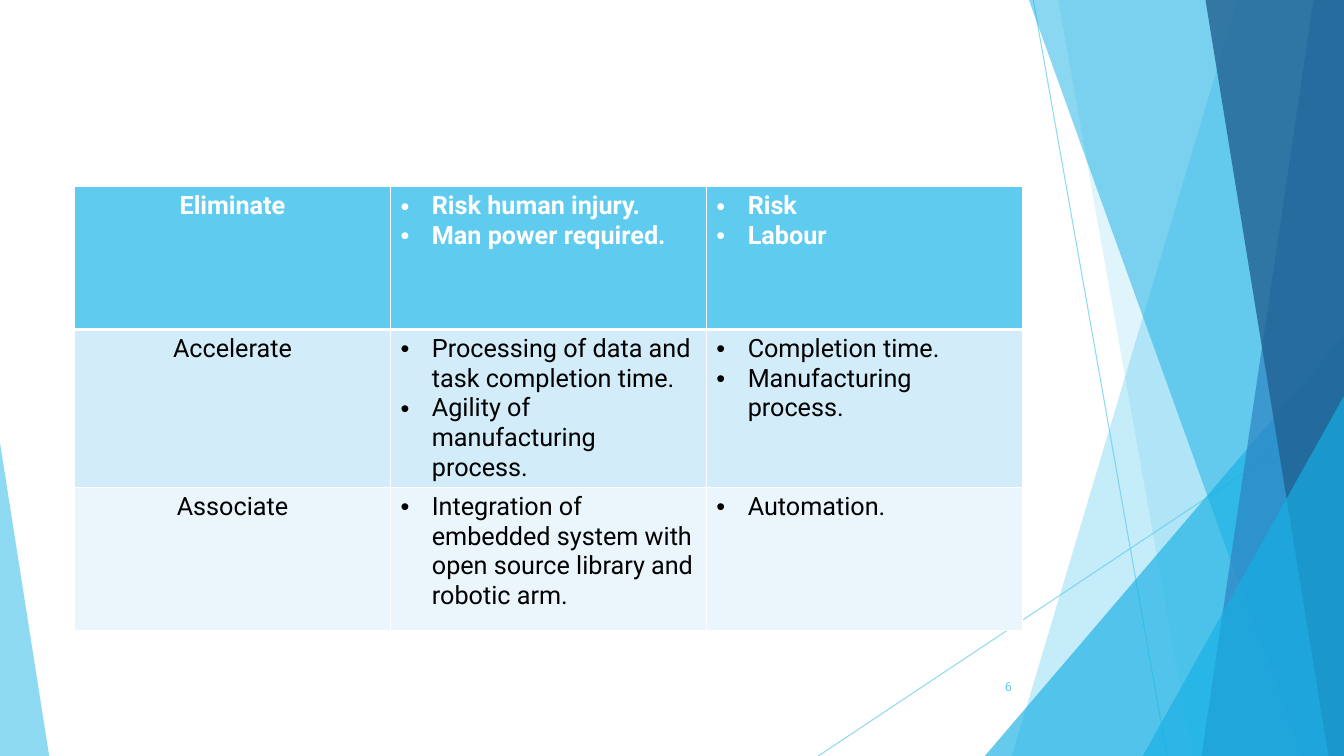
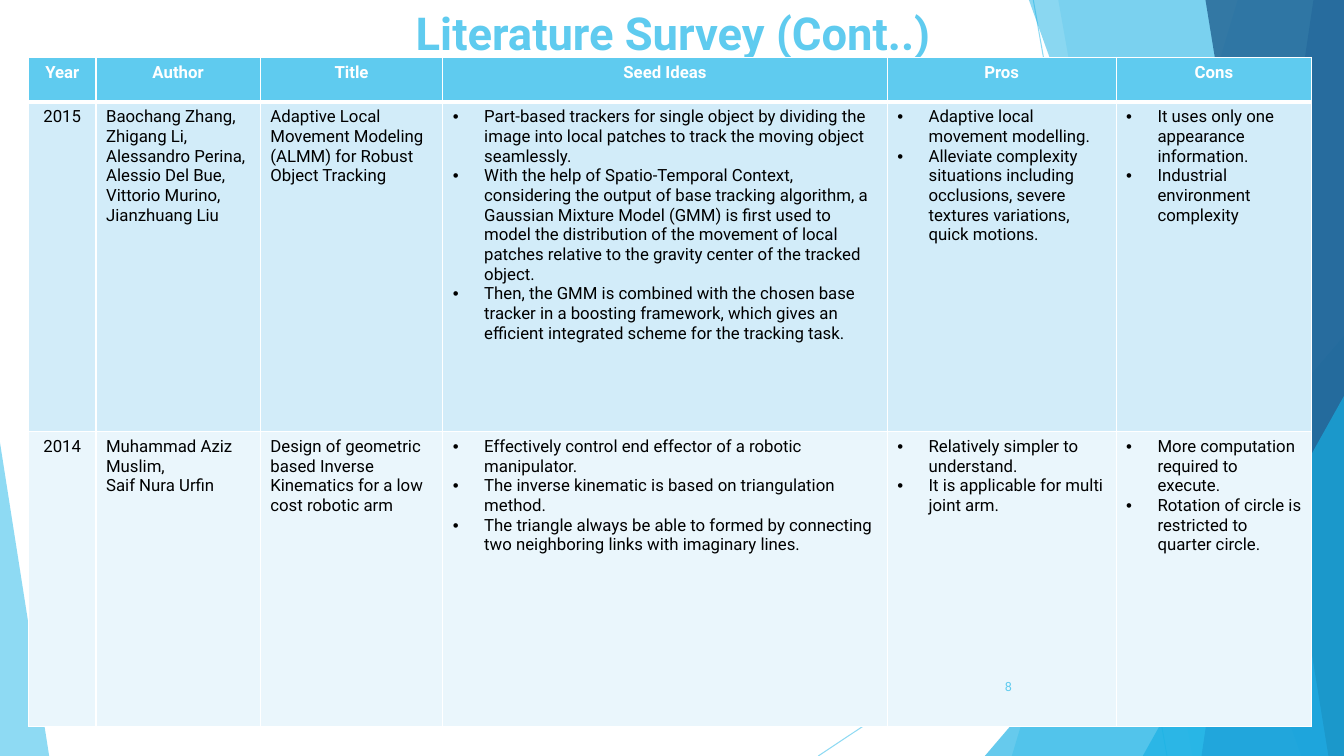
from dataclasses import dataclass
from enum import Enum

from lxml.etree import SubElement
from pptx import Presentation
from pptx.dml.color import RGBColor
from pptx.enum.shapes import MSO_CONNECTOR, MSO_SHAPE
from pptx.enum.text import MSO_ANCHOR, PP_ALIGN
from pptx.oxml.ns import qn
from pptx.util import Cm, Pt

SKY = RGBColor(0x5F, 0xCB, 0xEF)
CYAN = RGBColor(0x17, 0xB0, 0xE4)
BLUE = RGBColor(0x2E, 0x83, 0xC3)
NAVY = RGBColor(0x22, 0x62, 0x92)
BAND_DARK = RGBColor(0xD2, 0xEC, 0xF9)
BAND_LIGHT = RGBColor(0xEA, 0xF6, 0xFC)
WHITE = RGBColor(0xFF, 0xFF, 0xFF)
BLACK = RGBColor(0x00, 0x00, 0x00)

FONT = "Roboto"
PAGE_WIDTH = 33.87
PAGE_HEIGHT = 19.05
BULLET_INDENT = Cm(0.79)
THIN_BORDER = Pt(1)
HEADER_BORDER = Pt(3)


class Style(Enum):
    CENTRED = "centred"
    PLAIN = "plain"
    BULLETED = "bulleted"


@dataclass(frozen=True)
class Ray:
    start: tuple[float, float]
    end: tuple[float, float]


@dataclass(frozen=True)
class Ribbon:
    top_x: float
    bottom_x: float
    color: RGBColor
    opacity: int


@dataclass(frozen=True)
class Wedge:
    left: float
    top: float
    width: float
    apex: float
    color: RGBColor
    opacity: int


@dataclass(frozen=True)
class Grid:
    left: float
    top: float
    column_widths: tuple[float, ...]
    row_heights: tuple[float, ...]
    font_size: int
    header_styles: tuple[Style, ...]
    body_styles: tuple[Style, ...]
    rows: tuple[tuple[tuple[str, ...], ...], ...]


RAYS = (
    Ray((26.04, 0), (29.41, PAGE_HEIGHT)),
    Ray((PAGE_WIDTH, 10.24), (20.62, PAGE_HEIGHT)),
)
FACETS = (
    Ribbon(31.19, 25.5, SKY, 36),
    Ribbon(26.67, 30.05, SKY, 20),
    Wedge(24.82, 8.46, 9.05, 1, CYAN, 66),
    Ribbon(25.93, 32.79, CYAN, 50),
    Ribbon(33.1, 30.28, BLUE, 70),
    Ribbon(30.38, 33.48, NAVY, 80),
    Wedge(28.8, 9.98, 5.07, 1, CYAN, 66),
    Wedge(0, 11.15, 1.24, 0, SKY, 70),
)

BENEFITS = Grid(
    left=1.88,
    top=4.7,
    column_widths=(7.96,) * 3,
    row_heights=(3.6,) * 3,
    font_size=18,
    header_styles=(Style.CENTRED, Style.BULLETED, Style.BULLETED),
    body_styles=(Style.CENTRED, Style.BULLETED, Style.BULLETED),
    rows=(
        (("Eliminate",), ("Risk human injury.", "Man power required."), ("Risk", "Labour")),
        (
            ("Accelerate",),
            ("Processing of data and task completion time.", "Agility of manufacturing process."),
            ("Completion time.", "Manufacturing process."),
        ),
        (
            ("Associate",),
            ("Integration of embedded system with open source library and robotic arm.",),
            ("Automation.",),
        ),
    ),
)
SURVEY = Grid(
    left=0.72,
    top=1.45,
    column_widths=(1.7, 4.14, 4.6, 11.2, 5.77, 4.93),
    row_heights=(1.12, 8.31, 7.42),
    font_size=12,
    header_styles=(Style.CENTRED,) * 6,
    body_styles=(Style.CENTRED, Style.PLAIN, Style.PLAIN) + (Style.BULLETED,) * 3,
    rows=(
        (("Year",), ("Author",), ("Title",), ("Seed Ideas",), ("Pros",), ("Cons",)),
        (
            ("2015",),
            ("Baochang Zhang, Zhigang Li, Alessandro Perina, Alessio Del Bue, "
             "Vittorio Murino, Jianzhuang Liu",),
            ("Adaptive Local Movement Modeling (ALMM) for Robust Object Tracking",),
            (
                "Part-based trackers for single object by dividing the image into local "
                "patches to track the moving object seamlessly.",
                "With the help of Spatio-Temporal Context, considering the output of base "
                "tracking algorithm, a Gaussian Mixture Model (GMM) is first used to model "
                "the distribution of the movement of local patches relative to the gravity "
                "center of the tracked object.",
                "Then, the GMM is combined with the chosen base tracker in a boosting "
                "framework, which gives an efficient integrated scheme for the tracking task.",
            ),
            (
                "Adaptive local movement modelling.",
                "Alleviate complexity situations including occlusions, severe textures "
                "variations, quick motions.",
            ),
            ("It uses only one appearance information.", "Industrial environment complexity"),
        ),
        (
            ("2014",),
            ("Muhammad Aziz Muslim,", "Saif Nura Urfin"),
            ("Design of geometric based Inverse Kinematics for a low cost robotic arm",),
            (
                "Effectively control end effector of a robotic manipulator.",
                "The inverse kinematic is based on triangulation method.",
                "The triangle always be able to formed by connecting two neighboring links "
                "with imaginary lines.",
            ),
            ("Relatively simpler to understand.", "It is applicable for multi joint arm."),
            (
                "More computation required to execute.",
                "Rotation of circle is restricted to quarter circle.",
            ),
        ),
    ),
)


def set_opacity(element, percent: int) -> None:
    for color in element.iter(qn("a:srgbClr")):
        SubElement(color, qn("a:alpha"), val=str(percent * 1000))


def format_text(frame, size: float, color: RGBColor, bold: bool, alignment) -> None:
    for para in frame.paragraphs:
        para.alignment = alignment
        for span in para.runs:
            span.font.name = FONT
            span.font.size = Pt(size)
            span.font.bold = bold
            span.font.color.rgb = color


def draw_ray(page, ray: Ray) -> None:
    points = [Cm(value) for value in ray.start + ray.end]
    line = page.shapes.add_connector(MSO_CONNECTOR.STRAIGHT, *points)
    line.line.color.rgb = SKY
    line.line.width = Pt(0.75)
    set_opacity(line.element, 70)
    SubElement(line.element.spPr, qn("a:effectLst"))


def draw_facet(page, facet: Ribbon | Wedge) -> None:
    if isinstance(facet, Ribbon):
        outline = page.shapes.build_freeform(Cm(facet.top_x), 0)
        corners = ((PAGE_WIDTH, 0), (PAGE_WIDTH, PAGE_HEIGHT), (facet.bottom_x, PAGE_HEIGHT))
        outline.add_line_segments([(Cm(x), Cm(y)) for x, y in corners], close=True)
        shape = outline.convert_to_shape()
    else:
        shape = page.shapes.add_shape(
            MSO_SHAPE.ISOSCELES_TRIANGLE, Cm(facet.left), Cm(facet.top),
            Cm(facet.width), Cm(PAGE_HEIGHT - facet.top))
        shape.adjustments[0] = facet.apex
    shape.shadow.inherit = False
    shape.fill.solid()
    shape.fill.fore_color.rgb = facet.color
    shape.line.fill.background()
    set_opacity(shape.element, facet.opacity)


def draw_text(page, text: str, left: float, top: float, width: float, height: float,
              size: float, bold: bool, alignment, anchor) -> None:
    box = page.shapes.add_textbox(Cm(left), Cm(top), Cm(width), Cm(height))
    frame = box.text_frame
    frame.word_wrap = True
    frame.vertical_anchor = anchor
    frame.text = text
    format_text(frame, size, SKY, bold, alignment)


def draw_title(page, title: str) -> None:
    draw_text(page, title, 2.36, 0, 29.21, 1.45, 32.4, True, PP_ALIGN.CENTER, MSO_ANCHOR.TOP)


def draw_page_number(page, number: int) -> None:
    draw_text(page, str(number), 23.85, 16.79, 1.9, 1.02, 9, False,
              PP_ALIGN.RIGHT, MSO_ANCHOR.MIDDLE)


def add_bullet(para) -> None:
    properties = para._p.get_or_add_pPr()
    properties.set("marL", str(BULLET_INDENT))
    properties.set("indent", str(-BULLET_INDENT))
    SubElement(properties, qn("a:buFont"), typeface="Arial")
    SubElement(properties, qn("a:buChar"), char="•")


def add_borders(cell, row_index: int) -> None:
    widths = {
        "a:lnL": THIN_BORDER,
        "a:lnR": THIN_BORDER,
        "a:lnT": HEADER_BORDER if row_index == 1 else THIN_BORDER,
        "a:lnB": HEADER_BORDER if row_index == 0 else THIN_BORDER,
    }
    properties = cell._tc.get_or_add_tcPr()
    for tag, width in widths.items():
        border = SubElement(properties, qn(tag), w=str(width))
        fill = SubElement(border, qn("a:solidFill"))
        SubElement(fill, qn("a:srgbClr"), val=str(WHITE))


def fill_cell(cell, texts: tuple[str, ...], style: Style, row_index: int, size: int) -> None:
    header = row_index == 0
    add_borders(cell, row_index)
    cell.fill.solid()
    cell.fill.fore_color.rgb = (SKY, BAND_DARK, BAND_LIGHT)[row_index]
    frame = cell.text_frame
    frame.text = "\n".join(texts)
    alignment = PP_ALIGN.CENTER if style is Style.CENTRED else PP_ALIGN.LEFT
    format_text(frame, size, WHITE if header else BLACK, header, alignment)
    if style is Style.BULLETED:
        for para in frame.paragraphs:
            add_bullet(para)


def draw_grid(page, grid: Grid) -> None:
    table = page.shapes.add_table(
        len(grid.row_heights), len(grid.column_widths), Cm(grid.left), Cm(grid.top),
        Cm(sum(grid.column_widths)), Cm(sum(grid.row_heights))).table
    table.horz_banding = False
    for column, width in zip(table.columns, grid.column_widths):
        column.width = Cm(width)
    for row_index, texts_in_row in enumerate(grid.rows):
        table.rows[row_index].height = Cm(grid.row_heights[row_index])
        styles = grid.body_styles if row_index else grid.header_styles
        for column_index, (texts, style) in enumerate(zip(texts_in_row, styles)):
            cell = table.cell(row_index, column_index)
            fill_cell(cell, texts, style, row_index, grid.font_size)


def add_page(deck, number: int, grid: Grid, title: str = "") -> None:
    page = deck.slides.add_slide(deck.slide_layouts[6])
    for ray in RAYS:
        draw_ray(page, ray)
    for facet in FACETS:
        draw_facet(page, facet)
    if title:
        draw_title(page, title)
    draw_grid(page, grid)
    draw_page_number(page, number)


deck = Presentation()
deck.slide_width = Cm(PAGE_WIDTH)
deck.slide_height = Cm(PAGE_HEIGHT)
add_page(deck, 6, BENEFITS)
add_page(deck, 8, SURVEY, "Literature Survey (Cont..)")
deck.save("out.pptx")
